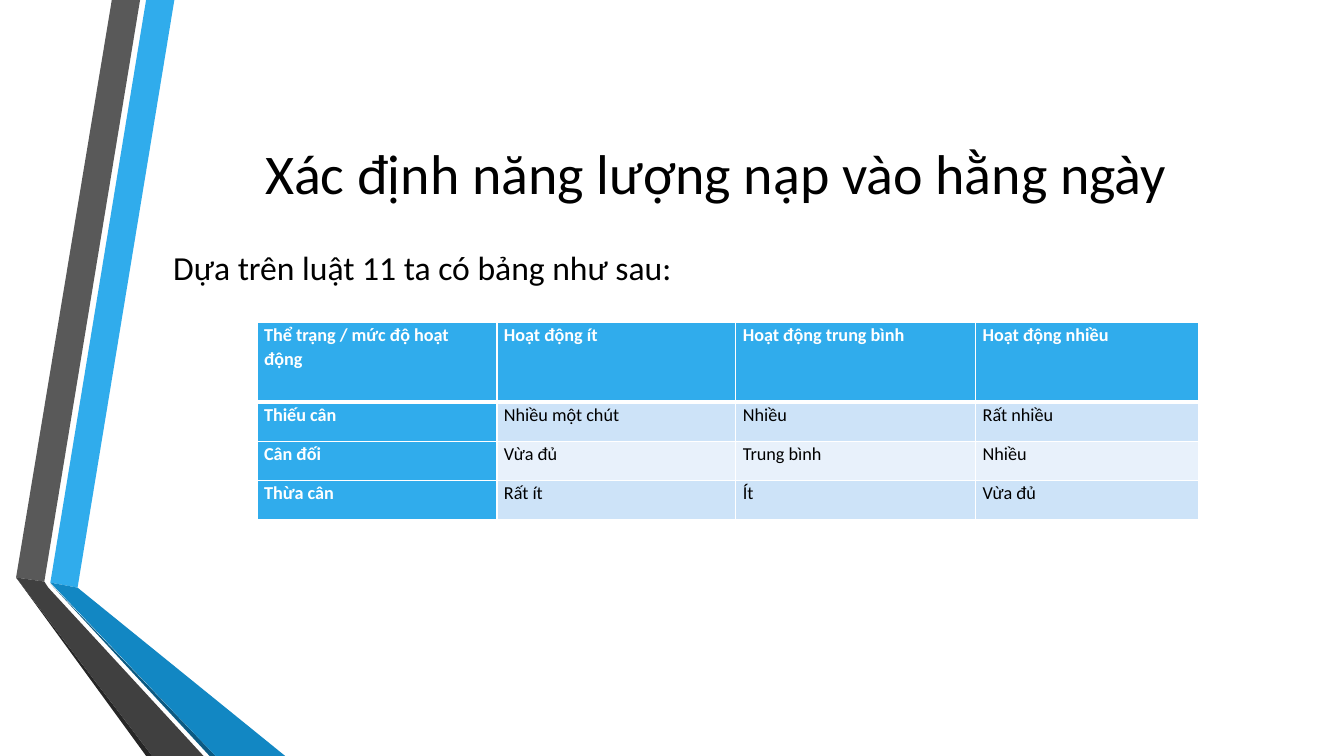
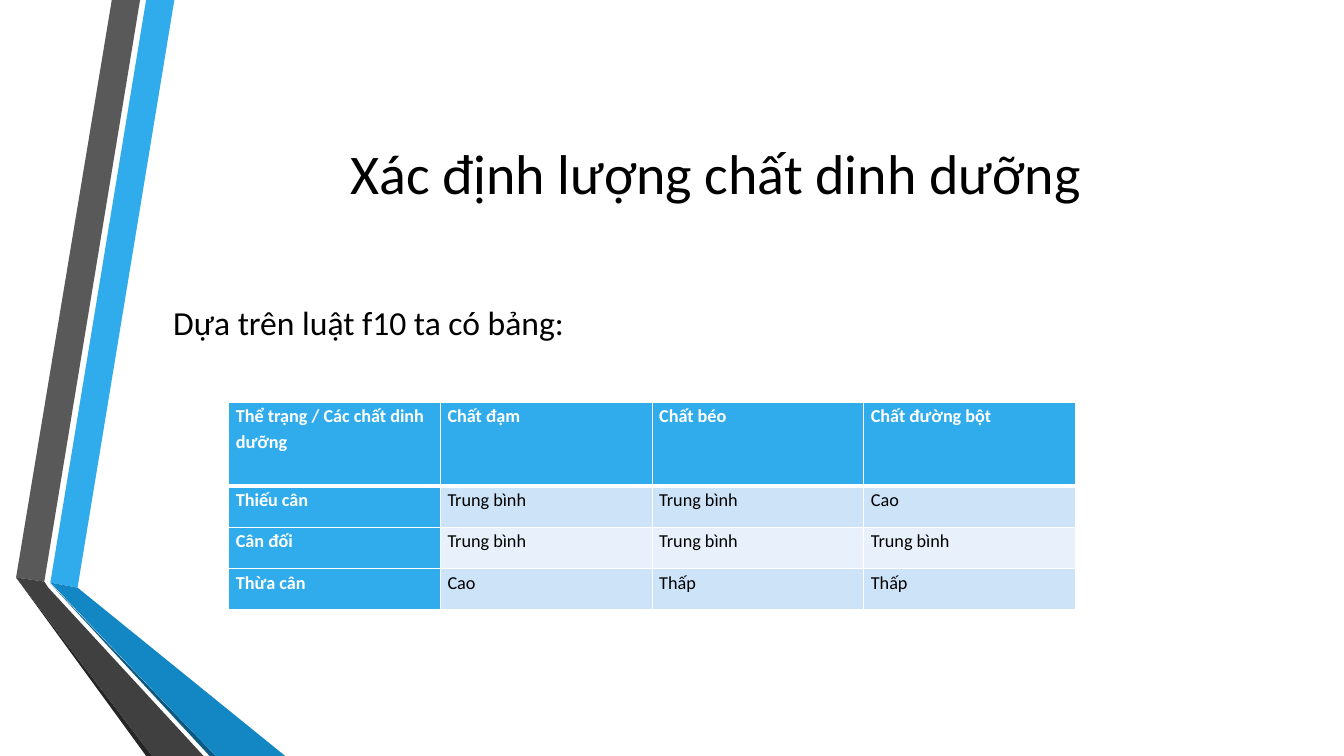
from lxml.etree import SubElement
from pptx import Presentation
from pptx.dml.color import RGBColor
from pptx.enum.text import MSO_ANCHOR as Anchor, PP_ALIGN as Align
from pptx.oxml.ns import qn
from pptx.util import Inches, Pt

CELL = Inches(0.1)
COLUMNS, ROWS = 133.33, 75
TITLE_ONLY = 5
FONT = "Calibri"

BLACK = RGBColor(0x00, 0x00, 0x00)
WHITE = RGBColor(0xFF, 0xFF, 0xFF)
BLUE = RGBColor(0x30, 0xAC, 0xEC)
BLUE_FOLD = RGBColor(0x12, 0x87, 0xC3)
BLUE_EDGE = RGBColor(0x0C, 0x5A, 0x82)
GRAY = RGBColor(0x59, 0x59, 0x59)
GRAY_FOLD = RGBColor(0x40, 0x40, 0x40)
GRAY_EDGE = RGBColor(0x26, 0x26, 0x26)
STRIPES = (RGBColor(0xCD, 0xE3, 0xF8), RGBColor(0xE8, 0xF1, 0xFB))

TITLE_FONT = {"name": FONT, "size": Pt(40), "bold": False}
INTRO_FONT = {"name": FONT, "size": Pt(24), "bold": False}
HEADING_FONT = {"name": FONT, "size": Pt(13), "bold": True}
VALUE_FONT = {"name": FONT, "size": Pt(13), "bold": False}

TITLE_BOX = (16.2, 7.5, 109.6, 19.2)
BANDS_ORIGIN = (1.6, 0)
BANDS = [
    (BLUE, [(3.4, 57.8), (6.1, 58.3), (15.7, 0), (12.9, 0)]),
    (GRAY, [(12.3, 0), (9.5, 0), (0, 57.3), (2.8, 57.7)]),
    (GRAY_EDGE, [(0, 57.3), (12.9, ROWS), (13.5, ROWS)]),
    (BLUE_EDGE, [(3.4, 57.9), (19.2, ROWS), (19.8, ROWS)]),
    (BLUE_FOLD, [(3.4, 57.8), (19.8, ROWS), (26.7, ROWS), (6.1, 58.3)]),
    (GRAY_FOLD, [(18.6, ROWS), (3.2, 58.3), (2.8, 57.7), (0, 57.3), (13.5, ROWS)]),
]

SLIDES = [
    {
        "title": "Xác định năng lượng nạp vào hằng ngày",
        "intro": "Dựa trên luật 11 ta có bảng như sau:",
        "intro_box": (16.2, 22.7, 109.6, 11.9),
        "table_origin": (25.5, 32),
        "column_widths": (23.8, 23.7, 23.8, 22.1),
        "row_heights": (7.9, 3.9, 3.9, 3.9),
        "spacing": {"line_spacing": 1.07, "space_after": Pt(8)},
        "cells": [
            ("Thể trạng / mức độ hoạt động", "Hoạt động ít",
             "Hoạt động trung bình", "Hoạt động nhiều"),
            ("Thiếu cân", "Nhiều một chút", "Nhiều", "Rất nhiều"),
            ("Cân đối", "Vừa đủ", "Trung bình", "Nhiều"),
            ("Thừa cân", "Rất ít", "Ít", "Vừa đủ"),
        ],
    },
    {
        "title": "Xác định lượng chất dinh dưỡng",
        "intro": "Dựa trên luật f10 ta có bảng:",
        "intro_box": (16.2, 29.2, 109.6, 10),
        "table_origin": (22.7, 39.9),
        "column_widths": (21, 21, 21, 21),
        "row_heights": (8.3, 4.1, 4.1, 4.1),
        "spacing": {"line_spacing": 1.15, "space_after": Pt(10)},
        "cells": [
            ("Thể trạng / Các chất dinh dưỡng", "Chất đạm",
             "Chất béo", "Chất đường bột"),
            ("Thiếu cân", "Trung bình", "Trung bình", "Cao"),
            ("Cân đối", "Trung bình", "Trung bình", "Trung bình"),
            ("Thừa cân", "Cao", "Thấp", "Thấp"),
        ],
    },
]


def grid(*counts):
    """Turn counts of grid cells into lengths."""
    return [round(count * CELL) for count in counts]


def set_attributes(target, values):
    """Set every attribute named in a dict of format values."""
    for name, value in values.items():
        setattr(target, name, value)


def write_text(frame, text, font, color):
    """Write one formatted paragraph and return it."""
    paragraph = frame.paragraphs[0]
    run = paragraph.add_run()
    run.text = text
    set_attributes(run.font, font)
    run.font.color.rgb = color
    return paragraph


def add_bands(slide, origin):
    """Draw the folded bands from the given grid origin."""
    left, top = origin
    for color, corners in BANDS:
        points = [grid(left + x, top + y) for x, y in corners]
        builder = slide.shapes.build_freeform(*points[0])
        builder.add_line_segments(points[1:], close=True)
        band = builder.convert_to_shape()
        band.shadow.inherit = False
        band.fill.solid()
        band.fill.fore_color.rgb = color
        band.line.fill.background()


def place_title(slide, text, box):
    """Move, format and fill the title placeholder."""
    title = slide.shapes.title
    set_attributes(title, dict(zip(("left", "top", "width", "height"), grid(*box))))
    title.text_frame.vertical_anchor = Anchor.MIDDLE
    write_text(title.text_frame, text, TITLE_FONT, BLACK).alignment = Align.CENTER


def add_intro(slide, text, box):
    """Add the sentence that leads to the table, above the middle of its box."""
    frame = slide.shapes.add_textbox(*grid(*box)).text_frame
    set_attributes(frame, {
        "word_wrap": True,
        "vertical_anchor": Anchor.MIDDLE,
        "margin_bottom": Inches(0.49),
    })
    write_text(frame, text, INTRO_FONT, BLACK)


def set_borders(cell, widths):
    """Give a cell white borders with a width in points for each side."""
    properties = cell._tc.get_or_add_tcPr()
    for side, width in widths.items():
        line = SubElement(properties, qn(f"a:ln{side}"), w=str(Pt(width)))
        fill = SubElement(line, qn("a:solidFill"))
        SubElement(fill, qn("a:srgbClr"), val=str(WHITE))


def format_cell(cell, text, row, column, spacing):
    """Fill one cell according to its place in the table."""
    is_heading = row == 0 or column == 0
    set_borders(cell, {"L": 1, "R": 1, "T": 3 if row == 1 else 1, "B": 3 if row == 0 else 1})
    cell.fill.solid()
    cell.fill.fore_color.rgb = BLUE if is_heading else STRIPES[(row - 1) % 2]
    set_attributes(cell, {
        "margin_left": Inches(0.07),
        "margin_right": Inches(0.07),
        "margin_top": 0,
        "margin_bottom": 0,
    })
    font, color = (HEADING_FONT, WHITE) if is_heading else (VALUE_FONT, BLACK)
    set_attributes(write_text(cell.text_frame, text, font, color), spacing)


def add_rule_table(slide, cells, origin, column_widths, row_heights, spacing):
    """Add the table of rules at the given grid origin."""
    size = (sum(column_widths), sum(row_heights))
    table = slide.shapes.add_table(
        len(row_heights), len(column_widths), *grid(*origin, *size)).table
    for column, width in zip(table.columns, grid(*column_widths)):
        column.width = width
    for row, height in zip(table.rows, grid(*row_heights)):
        row.height = height
    for row, texts in enumerate(cells):
        for column, text in enumerate(texts):
            format_cell(table.cell(row, column), text, row, column, spacing)


def add_table_slide(presentation, content):
    """Add one slide with bands, title, sentence and table."""
    slide = presentation.slides.add_slide(presentation.slide_layouts[TITLE_ONLY])
    add_bands(slide, BANDS_ORIGIN)
    place_title(slide, content["title"], TITLE_BOX)
    add_intro(slide, content["intro"], content["intro_box"])
    add_rule_table(slide, content["cells"], content["table_origin"],
                   content["column_widths"], content["row_heights"], content["spacing"])


def main():
    """Build and save the presentation."""
    presentation = Presentation()
    presentation.slide_width, presentation.slide_height = grid(COLUMNS, ROWS)
    for content in SLIDES:
        add_table_slide(presentation, content)
    presentation.save("out.pptx")


if __name__ == "__main__":
    main()
